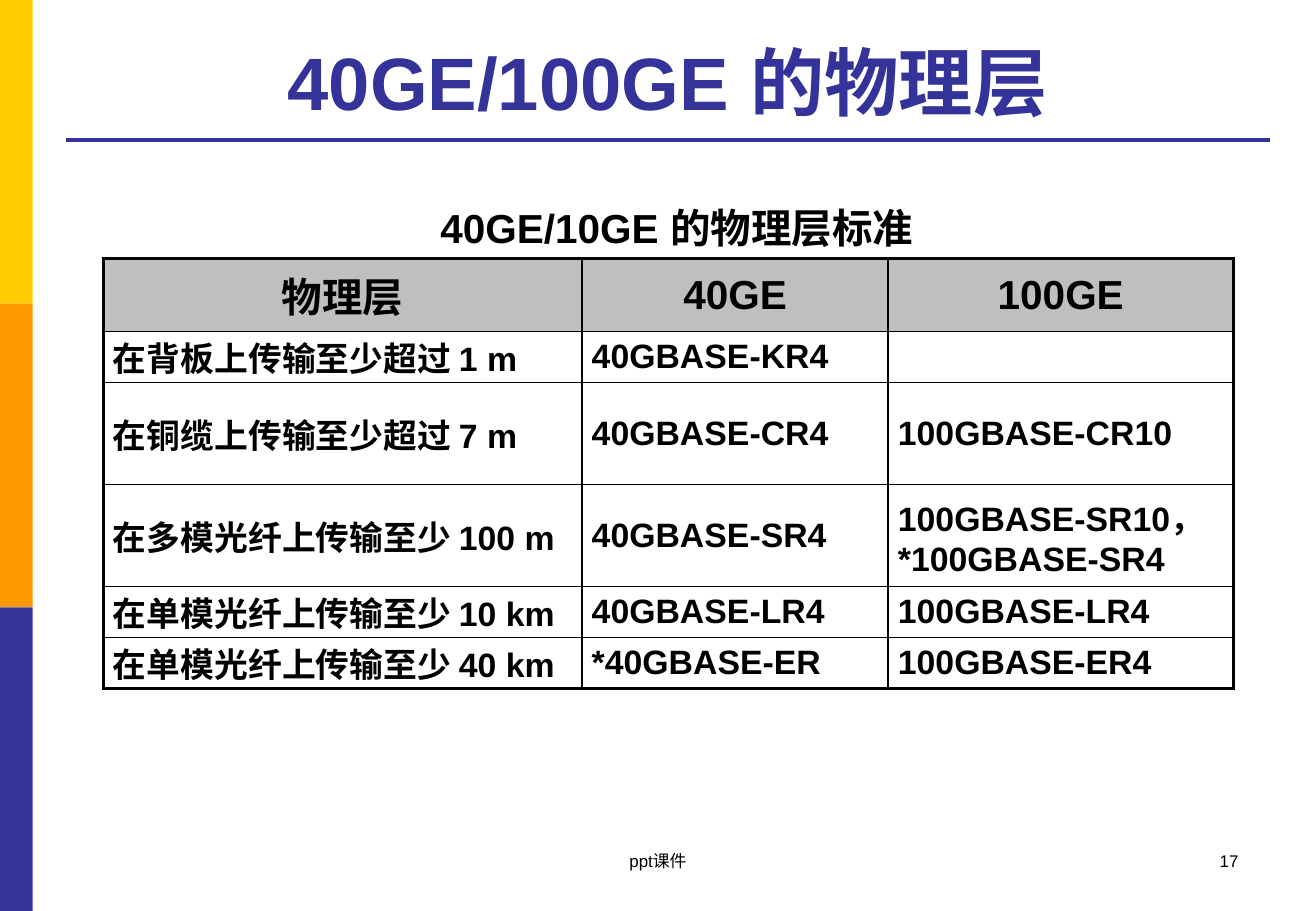
from dataclasses import dataclass

from pptx import Presentation
from pptx.dml.color import RGBColor
from pptx.enum.shapes import MSO_CONNECTOR as Connector, MSO_SHAPE as Shape
from pptx.enum.text import MSO_ANCHOR as Anchor, MSO_AUTO_SIZE as AutoSize, PP_ALIGN as Align
from pptx.oxml.ns import qn
from pptx.util import Inches, Pt
from lxml.etree import SubElement


@dataclass(frozen=True)
class Theme:
    font: str = "Arial"
    yellow: str = "FFCC00"
    orange: str = "FF9900"
    blue: str = "333399"
    black: str = "000000"
    grey: str = "BFBFBF"
    title: int = 44
    heading: int = 24
    body: int = 20
    small: int = 10
    thin: float = 1
    thick: float = 2.25


THEME = Theme()
COLUMNS = [3.94, 2.52, 2.84]
ROW_HEIGHTS = [0.6, 0.42, 0.84, 0.84, 0.42, 0.42]
STANDARDS = [
    ["物理层", "40GE", "100GE"],
    ["在背板上传输至少超过 1 m", "40GBASE-KR4", ""],
    ["在铜缆上传输至少超过 7 m", "40GBASE-CR4", "100GBASE-CR10"],
    ["在多模光纤上传输至少 100 m", "40GBASE-SR4", "100GBASE-SR10，\n*100GBASE-SR4"],
    ["在单模光纤上传输至少 10 km", "40GBASE-LR4", "100GBASE-LR4"],
    ["在单模光纤上传输至少 40 km", "*40GBASE-ER", "100GBASE-ER4"],
]


def color(code):
    return RGBColor.from_string(code)


def write(frame, text, size, align, ink=THEME.black, bold=False):
    frame.text = text
    for para in frame.paragraphs:
        para.alignment = align
        for span in para.runs:
            span.font.name = THEME.font
            span.font.size = Pt(size)
            span.font.bold = bold
            span.font.color.rgb = color(ink)


def add_label(page, box, text, size, align, anchor=Anchor.TOP, bold=False):
    label = page.shapes.add_textbox(*map(Inches, box))
    label.text_frame.word_wrap = True
    label.text_frame.vertical_anchor = anchor
    write(label.text_frame, text, size, align, bold=bold)


def add_side_band(page, box):
    left, top, width, height = box
    shades = [THEME.yellow, THEME.orange, THEME.blue]
    step = height / len(shades)
    for index, shade in enumerate(shades):
        block = page.shapes.add_shape(
            Shape.RECTANGLE, Inches(left), Inches(top + index * step), Inches(width), Inches(step))
        block.shadow.inherit = False
        block.fill.solid()
        block.fill.fore_color.rgb = color(shade)
        block.line.fill.background()


def add_title(page, box, text):
    left, top, width, height = box
    title = page.shapes.title
    title.left, title.top, title.width, title.height = map(Inches, box)
    title.text_frame.auto_size = AutoSize.NONE
    title.text_frame.vertical_anchor = Anchor.BOTTOM
    write(title.text_frame, text, THEME.title, Align.CENTER, THEME.blue, bold=True)

    # Rule below the title
    rule_y = Inches(top + height + 0.07)
    rule = page.shapes.add_connector(
        Connector.STRAIGHT, Inches(left), rule_y, Inches(left + width), rule_y)
    rule.line.color.rgb = color(THEME.blue)
    rule.line.width = Pt(THEME.thick)
    SubElement(rule.element.spPr, qn("a:effectLst"))


def set_borders(cell, outer_sides):
    props = cell._tc.get_or_add_tcPr()
    for index, side in enumerate("LRTB"):
        width = THEME.thick if side in outer_sides else THEME.thin
        line = SubElement(props, qn(f"a:ln{side}"), w=str(Pt(width)))
        fill = SubElement(line, qn("a:solidFill"))
        SubElement(fill, qn("a:srgbClr"), val=THEME.black)
        props.insert(index, line)


def add_standards_table(page, box):
    table = page.shapes.add_table(len(STANDARDS), len(COLUMNS), *map(Inches, box)).table
    table.first_row = table.horz_banding = False
    for column, width in zip(table.columns, COLUMNS):
        column.width = Inches(width)
    last_row, last_col = len(STANDARDS) - 1, len(COLUMNS) - 1
    for r, texts in enumerate(STANDARDS):
        table.rows[r].height = Inches(ROW_HEIGHTS[r])
        for c, text in enumerate(texts):
            cell = table.cell(r, c)
            cell.margin_left = cell.margin_right = Inches(0.08)
            cell.margin_top = cell.margin_bottom = 0
            cell.vertical_anchor = Anchor.MIDDLE
            if r == 0:
                cell.fill.solid()
                cell.fill.fore_color.rgb = color(THEME.grey)
                write(cell.text_frame, text, THEME.heading, Align.CENTER, bold=True)
            else:
                cell.fill.background()
                write(cell.text_frame, text, THEME.body, Align.JUSTIFY, bold=True)
            edges = {"L": c == 0, "R": c == last_col, "T": r == 0, "B": r == last_row}
            set_borders(cell, [side for side, outer in edges.items() if outer])


def add_footer(page, box):
    left, top, width, height = box
    add_label(page, (left, top, 3.43, height), "ppt课件", THEME.small, Align.CENTER)
    add_label(page, (left + width - 2.53, top, 2.53, height), "17", THEME.small, Align.RIGHT)


def main():
    deck = Presentation()
    deck.slide_width, deck.slide_height = Inches(10.83), Inches(7.5)
    page = deck.slides.add_slide(deck.slide_layouts[5])

    # Frame and title
    add_side_band(page, (0, 0, 0.27, 7.5))
    add_title(page, (0.54, 0.21, 9.91, 0.87), "40GE/100GE 的物理层")

    # Table with its caption
    add_standards_table(page, (0.85, 2.13, sum(COLUMNS), sum(ROW_HEIGHTS)))
    add_label(page, (1.95, 1.62, 7.24, 0.51), "40GE/10GE 的物理层标准",
              THEME.heading, Align.CENTER, Anchor.MIDDLE, bold=True)

    # Footer
    add_footer(page, (3.7, 6.95, 6.59, 0.5))
    deck.save("out.pptx")


if __name__ == "__main__":
    main()
